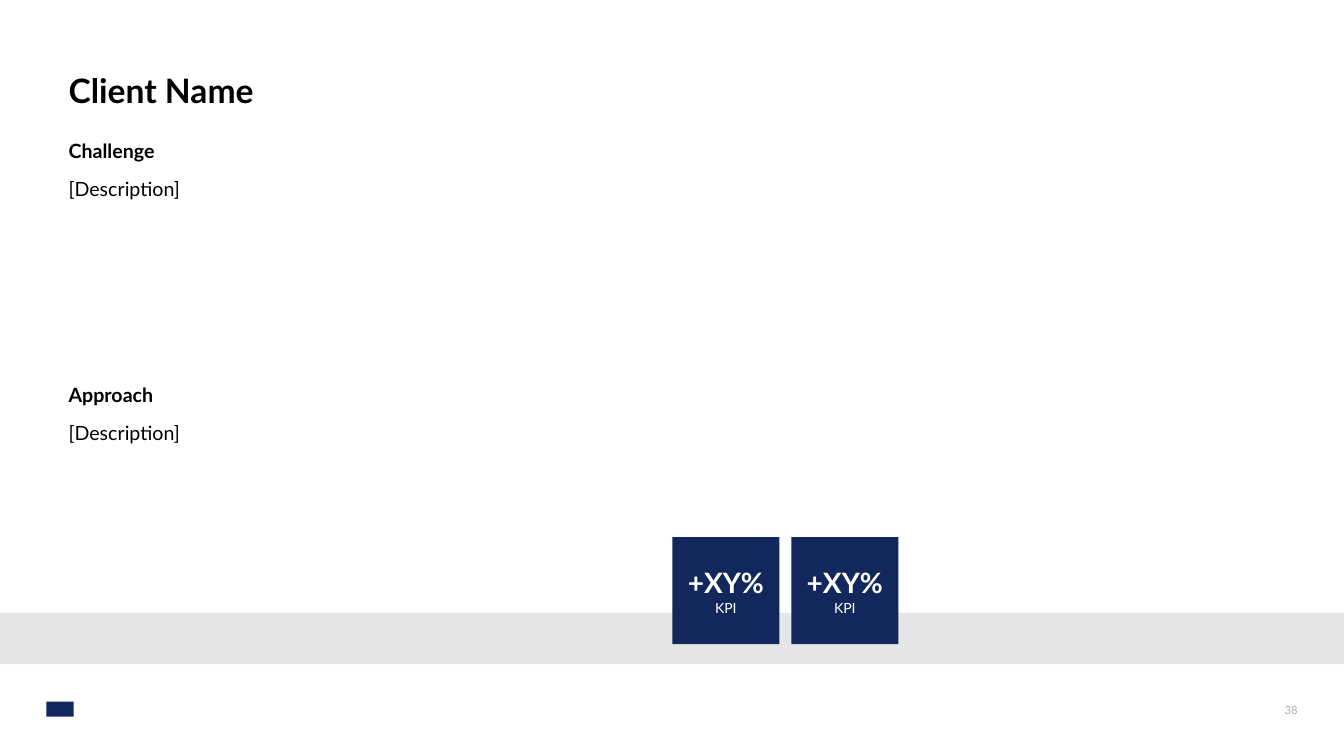
from pptx import Presentation
from pptx.dml.color import RGBColor
from pptx.enum import shapes, text
from pptx.oxml import ns
from pptx.util import Inches, Pt

FONT = "Lato"
COLORS = {
    "black": "000000",
    "white": "FFFFFF",
    "navy": "12285D",
    "band": "E7E6E6",
    "gray": "AFABAB",
}


def tint(name):
    return RGBColor.from_string(COLORS[name])


def place(shape, left, top, width, height):
    shape.left, shape.top = Inches(left), Inches(top)
    shape.width, shape.height = Inches(width), Inches(height)


def write(shape, *lines, color="black", align="LEFT", anchor="MIDDLE",
          before=0, spacing=1.0, inset=None):
    """Fill a shape with (words, size, bold) lines."""
    frame = shape.text_frame
    frame.word_wrap = True
    frame.auto_size = text.MSO_AUTO_SIZE.NONE
    frame.vertical_anchor = text.MSO_ANCHOR[anchor]
    if inset is not None:
        frame.margin_left = frame.margin_right = Inches(inset)
        frame.margin_top = frame.margin_bottom = Inches(inset)
    for i, (words, size, bold) in enumerate(lines):
        para = frame.paragraphs[0] if i == 0 else frame.add_paragraph()
        para.alignment = text.PP_ALIGN[align]
        para.space_before = Pt(before if i else 0)
        para.line_spacing = spacing
        run = para.add_run()
        run.text = words
        font = run.font
        font.name, font.size, font.bold = FONT, Pt(size), bold
        font.color.rgb = tint(color)


def box(slide, fill, *rect):
    shape = slide.shapes.add_shape(shapes.MSO_SHAPE.RECTANGLE,
                                   *map(Inches, rect))
    shape.shadow.inherit = False
    shape.fill.solid()
    shape.fill.fore_color.rgb = tint(fill)
    shape.line.fill.background()
    return shape


def section(body, top, height, head):
    place(body, 0.58, top, 6.08, height)
    write(body, (head, 14, True), ("[Description]", 14, False),
          anchor="TOP", before=10)
    # Plain paragraphs without bullets
    for para in body.text_frame.paragraphs:
        props = para._p.get_or_add_pPr()
        props.set("marL", "0")
        props.set("indent", "0")
        props.append(props.makeelement(ns.qn("a:buNone"), {}))


def tile(slide, left):
    shape = box(slide, "navy", left, 5.33, 1.06, 1.06)
    write(shape, ("+XY%", 20, True), ("KPI", 10, False),
          color="white", align="CENTER", inset=0.08)


def main():
    deck = Presentation()
    deck.slide_width, deck.slide_height = Inches(13.33), Inches(7.5)
    slide = deck.slides.add_slide(deck.slide_layouts.get_by_name("Two Content"))

    # Footer: band, mark and page number
    box(slide, "band", 0, 6.08, 13.33, 0.51)
    box(slide, "navy", 0.46, 6.96, 0.27, 0.15)
    page = slide.shapes.add_textbox(0, 0, 0, 0)
    place(page, 8.53, 6.83, 4.44, 0.42)
    write(page, ("38", 8, False), color="gray", align="RIGHT")

    # Title
    title = slide.shapes.title
    place(title, 0.58, 0.58, 12.17, 0.67)
    write(title, ("Client Name", 24, True), spacing=0.9)

    # Text sections
    section(slide.placeholders[1], 1.33, 2.34, "Challenge")
    section(slide.placeholders[2], 3.75, 2.21, "Approach")

    # KPI tiles
    for i in range(2):
        tile(slide, 6.67 + i * 1.18)

    deck.save("out.pptx")


if __name__ == "__main__":
    main()
